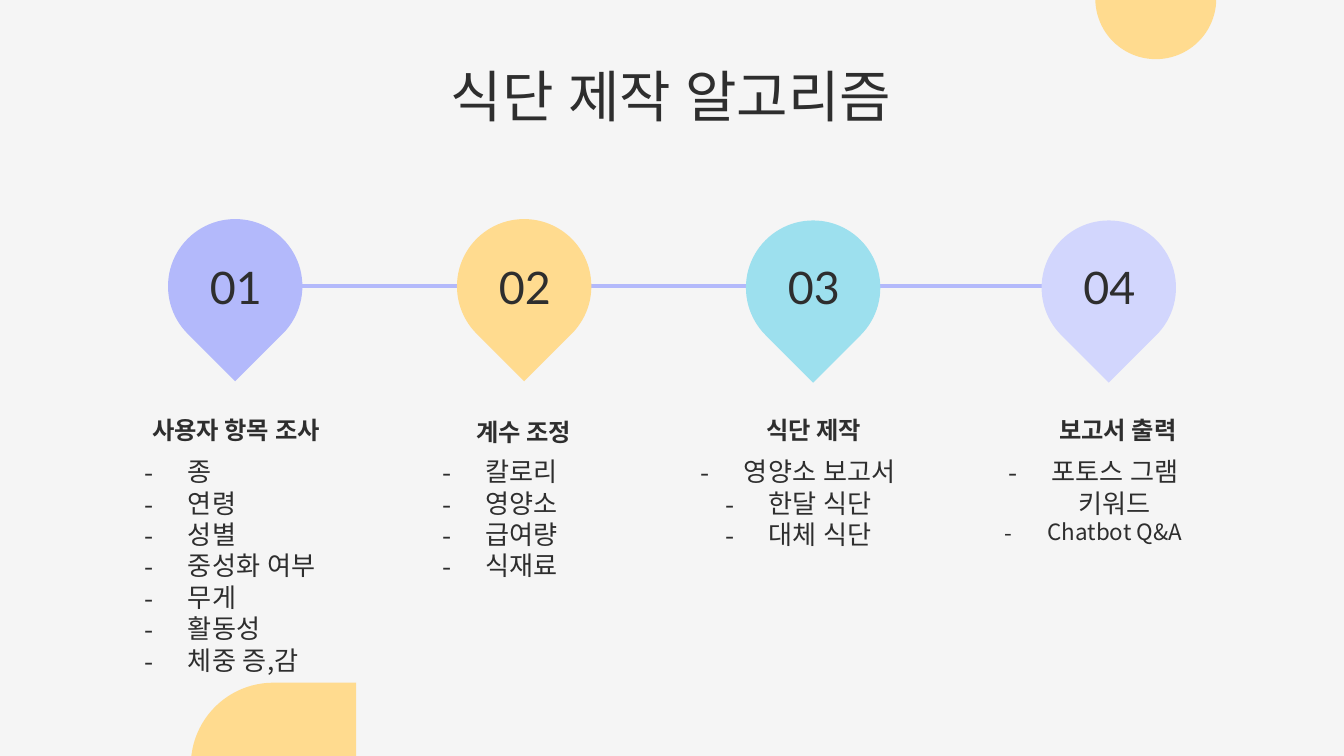
import pptx
import pptx.dml.color
import pptx.enum.shapes
import pptx.enum.text
import pptx.oxml
import pptx.oxml.ns
import pptx.util
from pptx.util import Inches

RGBColor = pptx.dml.color.RGBColor
PP_ALIGN = pptx.enum.text.PP_ALIGN
MSO_ANCHOR = pptx.enum.text.MSO_ANCHOR

BACKGROUND = RGBColor(0xF5, 0xF5, 0xF5)
INK = RGBColor(0x2E, 0x2E, 0x2E)
YELLOW = RGBColor(0xFF, 0xDB, 0x8F)
VIOLET = RGBColor(0xB3, 0xB9, 0xFB)
CYAN = RGBColor(0x9D, 0xE0, 0xEE)
LAVENDER = RGBColor(0xD2, 0xD6, 0xFD)

DISPLAY_FONT = "Lato"
BODY_FONT = "Noto Sans CJK KR"

TITLE = "식단 제작 알고리즘"
# Boxes are left, top, width, height; each item is a text and its size.
STEPS = [
    {"heading": "사용자 항목 조사", "color": VIOLET, "align": PP_ALIGN.LEFT,
     "pin": (1.25, 1.63), "heading_box": (0.89, 3.11, 1.73, 0.3), "list_left": 0.8,
     "items": [("종", 14), ("연령", 14), ("성별", 14), ("중성화 여부", 14),
               ("무게", 14), ("활동성", 14), ("체중 증,감", 14)]},
    {"heading": "계수 조정", "color": YELLOW, "align": PP_ALIGN.CENTER,
     "pin": (3.4, 1.63), "heading_box": (2.99, 3.02, 1.81, 0.4), "list_left": 2.7,
     "items": [("칼로리 ", 14), ("영양소 ", 14), ("급여량 ", 14), ("식재료 ", 14)]},
    {"heading": "식단 제작", "color": CYAN, "align": PP_ALIGN.CENTER,
     "pin": (5.55, 1.64), "heading_box": (5.15, 3.11, 1.81, 0.3), "list_left": 4.92,
     "items": [("영양소 보고서 ", 14), ("한달 식단 ", 14), ("대체 식단 ", 14)]},
    {"heading": " 보고서 출력", "color": LAVENDER, "align": PP_ALIGN.CENTER,
     "pin": (7.75, 1.64), "heading_box": (7.39, 3.11, 1.81, 0.3), "list_left": 7.09,
     "items": [("포토스 그램 키워드", 14), ("Chatbot Q&A", 12)]},
]
CORNERS = [(1.42, 5.08, 1.23), (8.15, -0.46, 0.9)]
PIN_SIZE = 1
LINE_Y = 2.13


def add_teardrop(slide, left, top, size, color, rotation=0):
    shape = slide.shapes.add_shape(
        pptx.enum.shapes.MSO_SHAPE.TEAR, Inches(left), Inches(top), Inches(size), Inches(size))
    shape.rotation = rotation
    shape.shadow.inherit = False
    shape.fill.solid()
    shape.fill.fore_color.rgb = color
    shape.line.fill.background()


def format_frame(frame, anchor):
    settings = {"word_wrap": True, "vertical_anchor": anchor,
                "auto_size": pptx.enum.text.MSO_AUTO_SIZE.NONE}
    settings |= {f"margin_{side}": Inches(0.1) for side in ("left", "top", "right", "bottom")}
    for name, value in settings.items():
        setattr(frame, name, value)


def write_paragraph(paragraph, text, size, font=DISPLAY_FONT, bold=False, align=PP_ALIGN.CENTER):
    paragraph.alignment = align
    run = paragraph.add_run()
    run.text = text
    for name, value in {"name": font, "size": pptx.util.Pt(size), "bold": bold}.items():
        setattr(run.font, name, value)
    run.font.color.rgb = INK
    east_asian = pptx.oxml.parse_xml(
        f'<a:ea {pptx.oxml.ns.nsdecls("a")} typeface="{DISPLAY_FONT}"/>')
    run.font._element.find(pptx.oxml.ns.qn("a:latin")).addnext(east_asian)


def add_dash(paragraph):
    """Give the paragraph a dash bullet with a hanging indent."""
    properties = paragraph._p.get_or_add_pPr()
    properties.set("marL", str(Inches(0.5)))
    properties.set("indent", str(Inches(-0.32)))
    namespace = pptx.oxml.ns.nsdecls("a")
    for xml in (f'<a:buClr {namespace}><a:srgbClr val="{INK}"/></a:buClr>',
                f'<a:buFont {namespace} typeface="{BODY_FONT}"/>',
                f'<a:buChar {namespace} char="-"/>'):
        properties.append(pptx.oxml.parse_xml(xml))


def add_text_frame(slide, left, top, width, height, anchor):
    box = slide.shapes.add_textbox(Inches(left), Inches(top), Inches(width), Inches(height))
    format_frame(box.text_frame, anchor)
    return box.text_frame


def add_title(slide):
    title = slide.shapes.title
    position = {"left": 1.49, "top": 0.36, "width": 7.01, "height": 0.69}
    for name, value in position.items():
        setattr(title, name, Inches(value))
    format_frame(title.text_frame, MSO_ANCHOR.TOP)
    write_paragraph(title.text_frame.paragraphs[0], TITLE, 30)


def add_timeline(slide):
    line = slide.shapes.add_connector(
        pptx.enum.shapes.MSO_CONNECTOR.STRAIGHT,
        Inches(1.92), Inches(LINE_Y), Inches(8.48), Inches(LINE_Y))
    line.line.color.rgb = VIOLET
    line.line.width = pptx.util.Pt(2.25)
    line._element.spPr.append(
        pptx.oxml.parse_xml(f'<a:effectLst {pptx.oxml.ns.nsdecls("a")}/>'))


def add_step(slide, number, step):
    pin_left, pin_top = step["pin"]
    add_teardrop(slide, pin_left, pin_top, PIN_SIZE, step["color"], 135)
    frame = add_text_frame(slide, pin_left - 0.01, 1.96, 1.03, 0.35, MSO_ANCHOR.MIDDLE)
    write_paragraph(frame.paragraphs[0], f"{number:02}", 24)

    frame = add_text_frame(slide, *step["heading_box"], MSO_ANCHOR.BOTTOM)
    write_paragraph(frame.paragraphs[0], step["heading"], 13, BODY_FONT, bold=True)

    frame = add_text_frame(slide, step["list_left"], 3.29, 1.91, 0.92, MSO_ANCHOR.TOP)
    for index, (text, size) in enumerate(step["items"]):
        paragraph = frame.add_paragraph() if index else frame.paragraphs[0]
        add_dash(paragraph)
        write_paragraph(paragraph, text, size, BODY_FONT, align=step["align"])


def main():
    presentation = pptx.Presentation()
    presentation.slide_width = Inches(10)
    presentation.slide_height = presentation.slide_width * 9 // 16
    slide = presentation.slides.add_slide(presentation.slide_layouts[5])
    slide.background.fill.solid()
    slide.background.fill.fore_color.rgb = BACKGROUND

    for left, top, size in CORNERS:
        add_teardrop(slide, left, top, size, YELLOW)
    add_title(slide)
    add_timeline(slide)
    for number, step in enumerate(STEPS, start=1):
        add_step(slide, number, step)
    presentation.save("out.pptx")


if __name__ == "__main__":
    main()
